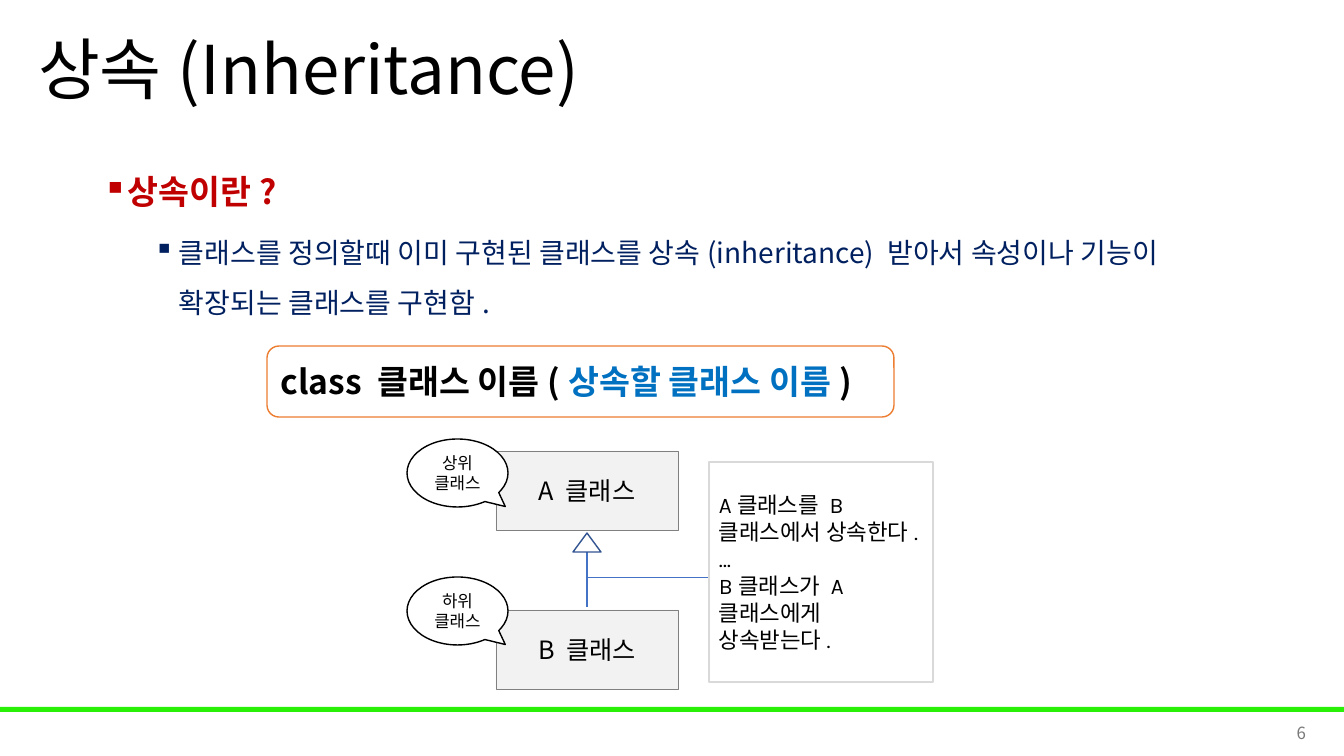
from lxml import etree
from pptx import Presentation
from pptx import util as u
from pptx.dml.color import RGBColor
from pptx.enum import shapes, text
from pptx.oxml.ns import qn

PX = 914400 / 100.8
FONT = "Noto Sans CJK KR"
LEFT, CENTER, RIGHT = text.PP_ALIGN.LEFT, text.PP_ALIGN.CENTER, text.PP_ALIGN.RIGHT
MSO = shapes.MSO_SHAPE


def px(*lengths):
    return [u.Emu(round(n * PX)) for n in lengths]


def write(sp, lines, size, color="000000", align=LEFT, font=FONT, bold=False):
    """Fill a shape; each line is a list of (words, colour or None) runs."""
    tf = sp.text_frame
    tf.word_wrap = True
    tf.vertical_anchor = text.MSO_ANCHOR.MIDDLE
    for i, line in enumerate(lines):
        p = tf.paragraphs[0] if i == 0 else tf.add_paragraph()
        p.alignment = align
        p.font.size, p.font.bold, p.font.name = u.Pt(size), bold, font
        p.font.color.rgb = RGBColor.from_string(color)
        for words, run_color in line:
            r = p.add_run()
            r.text = words
            etree.SubElement(r._r.get_or_add_rPr(), qn("a:ea"), typeface=font)
            if run_color:
                r.font.color.rgb = RGBColor.from_string(run_color)
    return tf


prs = Presentation()
prs.slide_width, prs.slide_height = px(1344, 756)
s = prs.slides.add_slide(prs.slide_layouts[5])

# Title
title = s.shapes.title
title.left, title.top, title.width, title.height = px(28, 0, 1159, 146)
write(title, [[("상속(Inheritance)", None)]], 48).paragraphs[0].line_spacing = 0.9

# Footer bar and slide number
bar = s.shapes.add_shape(MSO.RECTANGLE, *px(0, 707, 1344, 5))
bar.shadow.inherit = False
bar.fill.solid()
bar.fill.fore_color.rgb = RGBColor.from_string("2AEF06")
bar.line.fill.background()
number = s.shapes.add_textbox(*px(1014, 713, 302, 40))
write(number, [[("6", None)]], 12, "797979", RIGHT)

# Bulleted explanation
body = s.shapes.add_textbox(*px(93, 146, 1159, 190))
tf = write(body, [
    [("상속이란?", None)],
    [("클래스를 정의할때 이미 구현된 클래스를 상속(inheritance) 받아서 "
      "속성이나 기능이 확장되는 클래스를 구현함.", None)],
], 20)
tf.vertical_anchor = text.MSO_ANCHOR.TOP
levels = [(25, 24, "C00000", True, 0), (76, 20, "002060", False, 5)]
for level, (p, (indent, size, color, bold, before)) in enumerate(zip(tf.paragraphs, levels)):
    pPr = p._p.get_or_add_pPr()
    pPr.set("marL", str(px(indent)[0]))
    pPr.set("indent", str(px(-25)[0]))
    bullet = etree.Element(qn("a:buChar"), char="▪")
    pPr.find(qn("a:defRPr")).addprevious(bullet)
    p.level, p.line_spacing, p.space_before = level, 1.5, u.Pt(before)
    p.font.size, p.font.bold = u.Pt(size), bold
    p.font.color.rgb = RGBColor.from_string(color)

# Connectors: inheritance stem and branch to the note
for x1, y1, x2, y2, weight in [(587, 552, 587, 607, 1), (587, 577, 709, 577, 0.5)]:
    line = s.shapes.add_connector(shapes.MSO_CONNECTOR.STRAIGHT, *px(x1, y1, x2, y2))
    line.line.color.rgb = RGBColor.from_string("4472C4")
    line.line.width = u.Pt(weight)
    etree.SubElement(line._element.spPr, qn("a:effectLst"))

# Syntax box, class boxes, arrowhead, note and callouts
syntax = [[("class 클래스 이름(", None), ("상속할 클래스 이름", "0070C0"), (")", None)]]
note = [[(words, None)] for words in
        ("A클래스를 B클래스에서 상속한다.", "…", "B클래스가 A클래스에게 상속받는다.")]
diagram = [
    (MSO.ROUNDED_RECTANGLE, (267, 346, 627, 71), "FFFFFF", "ED7D31", 1,
     syntax, dict(size=24, bold=True)),
    (MSO.ISOSCELES_TRIANGLE, (573, 533, 28, 19), None, "325491", 1, [], dict(size=12)),
    (MSO.RECTANGLE, (709, 462, 224, 220), "FFFFFF", "D9D9D9", 1,
     note, dict(size=16, font="Karla")),
]
for name, role, top in [("A", "상위", 451), ("B", "하위", 610)]:
    diagram.append((MSO.RECTANGLE, (496, top, 182, 79), "F2F2F2", "808080", 0.5,
                    [[(f"{name} 클래스", None)]], dict(size=18, align=CENTER)))
for role, top in [("상위", 439), ("하위", 577)]:
    diagram.append((MSO.OVAL_CALLOUT, (407, top, 101, 68), "FFFFFF", "000000", 1,
                    [[(role, None)], [("클래스", None)]], dict(size=12, align=CENTER)))

for kind, box, fill, outline, weight, lines, style in diagram:
    sp = s.shapes.add_shape(kind, *px(*box))
    sp.shadow.inherit = False
    if fill:
        sp.fill.solid()
        sp.fill.fore_color.rgb = RGBColor.from_string(fill)
    else:
        sp.fill.background()
    sp.line.color.rgb = RGBColor.from_string(outline)
    sp.line.width = u.Pt(weight)
    if kind == MSO.OVAL_CALLOUT:
        sp.adjustments[0], sp.adjustments[1] = 0.473, 0.493
    write(sp, lines, **style)

prs.save("out.pptx")
